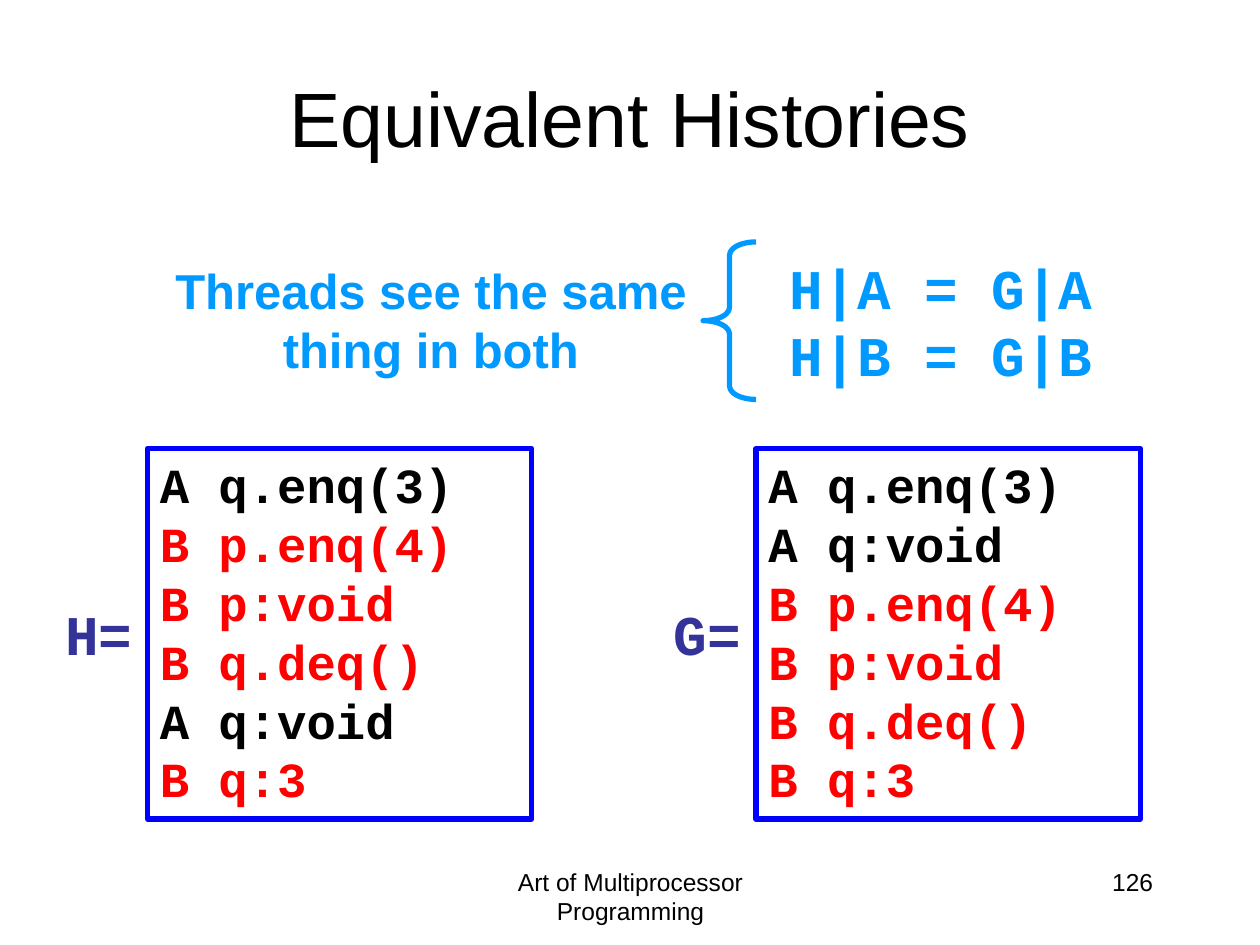
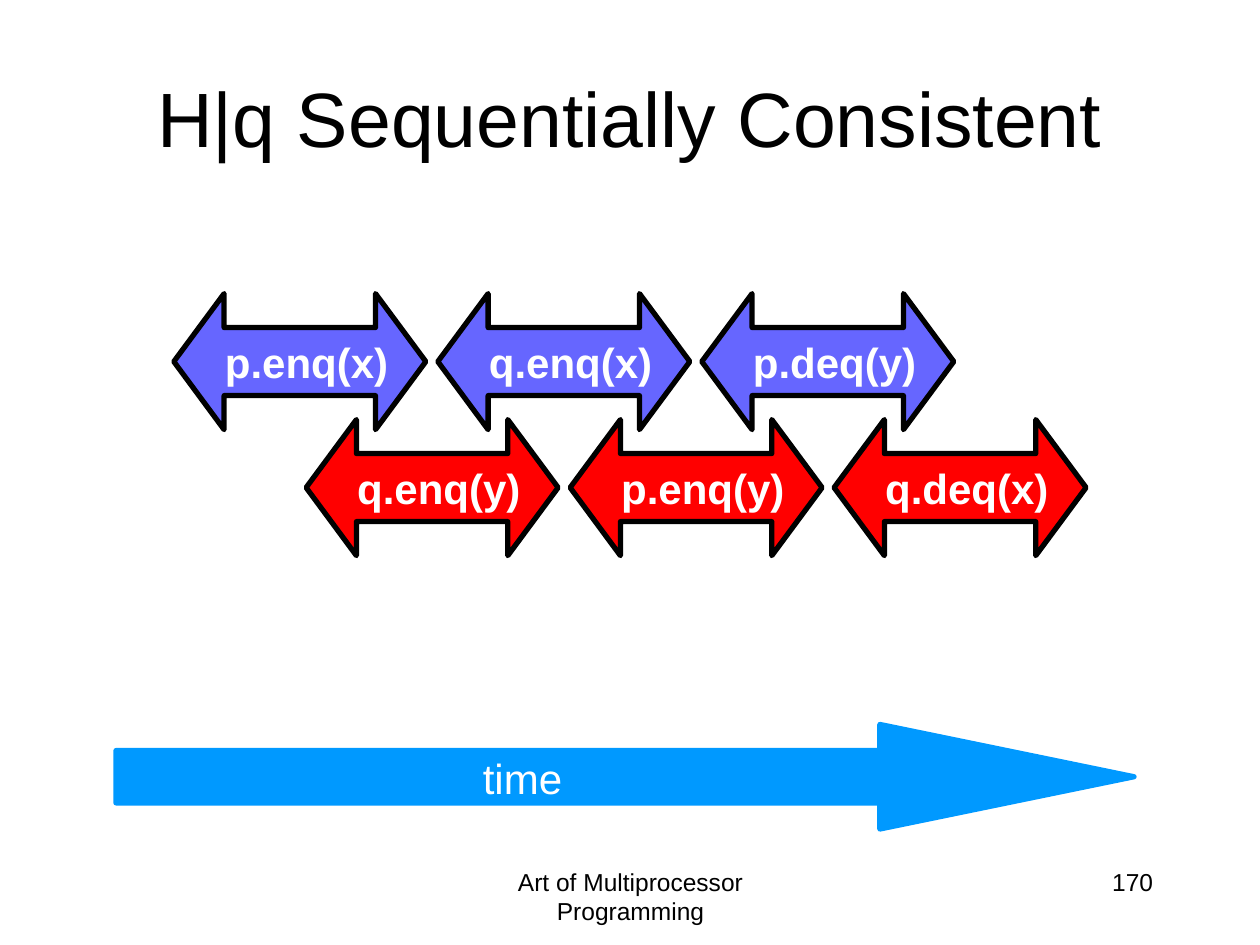
from dataclasses import dataclass

from pptx import Presentation
from pptx.dml.color import RGBColor
from pptx.enum.shapes import MSO_SHAPE
from pptx.enum.text import MSO_ANCHOR, PP_ALIGN
from pptx.util import Inches, Pt


@dataclass(frozen=True)
class Theme:
    """Colours, fonts and type sizes shared by the slides."""
    black: str = "000000"
    white: str = "FFFFFF"
    red: str = "FF0000"
    violet: str = "6666FF"
    sky: str = "0099FF"
    frame: str = "0000FF"
    label: str = "333399"
    sans: str = "Arial"
    mono: str = "Courier New"
    title: int = 44
    formula: int = 32
    code: int = 28
    arrow: int = 24
    footer: int = 14
    line: int = 3


T = Theme()
THREAD_COLORS = {"A": T.black, "B": T.red}
OP_W, OP_H, OP_STEP = 2, 1.08, 2.095


def write(tf, lines, size, color=T.black, colors=None, font=T.sans, bold=False,
          align=PP_ALIGN.LEFT, anchor=MSO_ANCHOR.TOP, wrap=True):
    """Fill a text frame with one paragraph per line."""
    tf.word_wrap = wrap
    tf.vertical_anchor = anchor
    colors = colors or [color] * len(lines)
    for i, (line, c) in enumerate(zip(lines, colors)):
        p = tf.paragraphs[0] if i == 0 else tf.add_paragraph()
        p.alignment = align
        r = p.add_run()
        r.text = line
        r.font.name, r.font.size, r.font.bold = font, Pt(size), bold
        r.font.color.rgb = RGBColor.from_string(c)


def add_text(s, box, lines, size, **fmt):
    """Add a text box at (left, top, width, height)."""
    tb = s.shapes.add_textbox(*map(Inches, box))
    write(tb.text_frame, lines, size, **fmt)


def add_shape(s, kind, box, line, fill=None, adj=()):
    """Add a preset shape with a flat outline and an optional fill."""
    sp = s.shapes.add_shape(kind, *map(Inches, box))
    sp.shadow.inherit = False
    for i, value in enumerate(adj):
        sp.adjustments[i] = value
    if fill:
        sp.fill.solid()
        sp.fill.fore_color.rgb = RGBColor.from_string(fill)
    else:
        sp.fill.background()
    sp.line.color.rgb = RGBColor.from_string(line)
    sp.line.width = Pt(T.line)
    return sp


def add_slide(prs, title, number):
    """Add a slide with its title, footer and page number."""
    s = prs.slides.add_slide(prs.slide_layouts[5])
    sp = s.shapes.title
    sp.left, sp.top, sp.width, sp.height = map(Inches, (0.5, 0.3, 9, 1.25))
    write(sp.text_frame, [title], T.title, align=PP_ALIGN.CENTER,
          anchor=MSO_ANCHOR.MIDDLE)
    add_text(s, (3.42, 6.83, 3.17, 0.5), ["Art of Multiprocessor Programming"],
             T.footer, align=PP_ALIGN.CENTER)
    add_text(s, (7.17, 6.83, 2.08, 0.5), [number], T.footer, align=PP_ALIGN.RIGHT)
    return s


def add_history(s, left, name, calls):
    """Add a framed history, coloured by thread, with its name on the left."""
    add_text(s, (left - 0.75, 4.71, 1.25, 0.63), [name], T.formula,
             color=T.label, font=T.mono, bold=True)
    sp = add_shape(s, MSO_SHAPE.RECTANGLE, (left, 3.56, 3.05, 2.94), T.frame)
    write(sp.text_frame, calls, T.code, font=T.mono, bold=True,
          colors=[THREAD_COLORS[call[0]] for call in calls])


def add_operations(s, left, top, color, calls):
    """Add a row of evenly spaced double arrows, one per method call."""
    for i, call in enumerate(calls):
        sp = add_shape(s, MSO_SHAPE.LEFT_RIGHT_ARROW,
                       (left + i * OP_STEP, top, OP_W, OP_H),
                       T.black, color, (0.5, 0.37))
        write(sp.text_frame, [call], T.arrow, color=T.white, bold=True,
              align=PP_ALIGN.RIGHT, anchor=MSO_ANCHOR.MIDDLE, wrap=False)


def add_time_arrow(s):
    """Add the wide time arrow and its caption."""
    add_shape(s, MSO_SHAPE.RIGHT_ARROW, (0.92, 5.75, 8.08, 0.83),
              T.sky, T.sky, (0.5, 2.43))
    add_text(s, (3.72, 5.92, 0.84, 0.5), ["time"], T.arrow, color=T.white,
             align=PP_ALIGN.RIGHT, wrap=False)


def build_histories(prs):
    """Build the slide comparing two equivalent histories."""
    s = add_slide(prs, "Equivalent Histories", "126")
    add_history(s, 1.17, "H=", ["A q.enq(3)", "B p.enq(4)", "B p:void",
                                "B q.deq()", "A q:void", "B q:3"])
    add_history(s, 6, "G=", ["A q.enq(3)", "A q:void", "B p.enq(4)",
                             "B p:void", "B q.deq()", "B q:3"])
    add_text(s, (1.17, 2.02, 4.5, 1.03), ["Threads see the same thing in both"],
             T.code, color=T.sky, bold=True, align=PP_ALIGN.CENTER)
    add_text(s, (6.17, 1.96, 2.75, 1.17), ["H|A = G|A", "H|B = G|B"],
             T.formula, color=T.sky, font=T.mono, bold=True)
    add_shape(s, MSO_SHAPE.LEFT_BRACE, (5.58, 1.92, 0.42, 1.25), T.sky,
              adj=(0.25, 0.5))


def build_timeline(prs):
    """Build the slide with both threads' calls along the time arrow."""
    s = add_slide(prs, "H|q Sequentially Consistent", "170")
    add_operations(s, 1.38, 2.33, T.violet, ["p.enq(x)", "q.enq(x)", "p.deq(y)"])
    add_operations(s, 2.43, 3.33, T.red, ["q.enq(y)", "p.enq(y)", "q.deq(x)"])
    add_time_arrow(s)


def main():
    """Build and save the presentation."""
    prs = Presentation()
    prs.slide_width, prs.slide_height = Inches(10), Inches(7.5)
    build_histories(prs)
    build_timeline(prs)
    prs.save("out.pptx")


if __name__ == "__main__":
    main()
